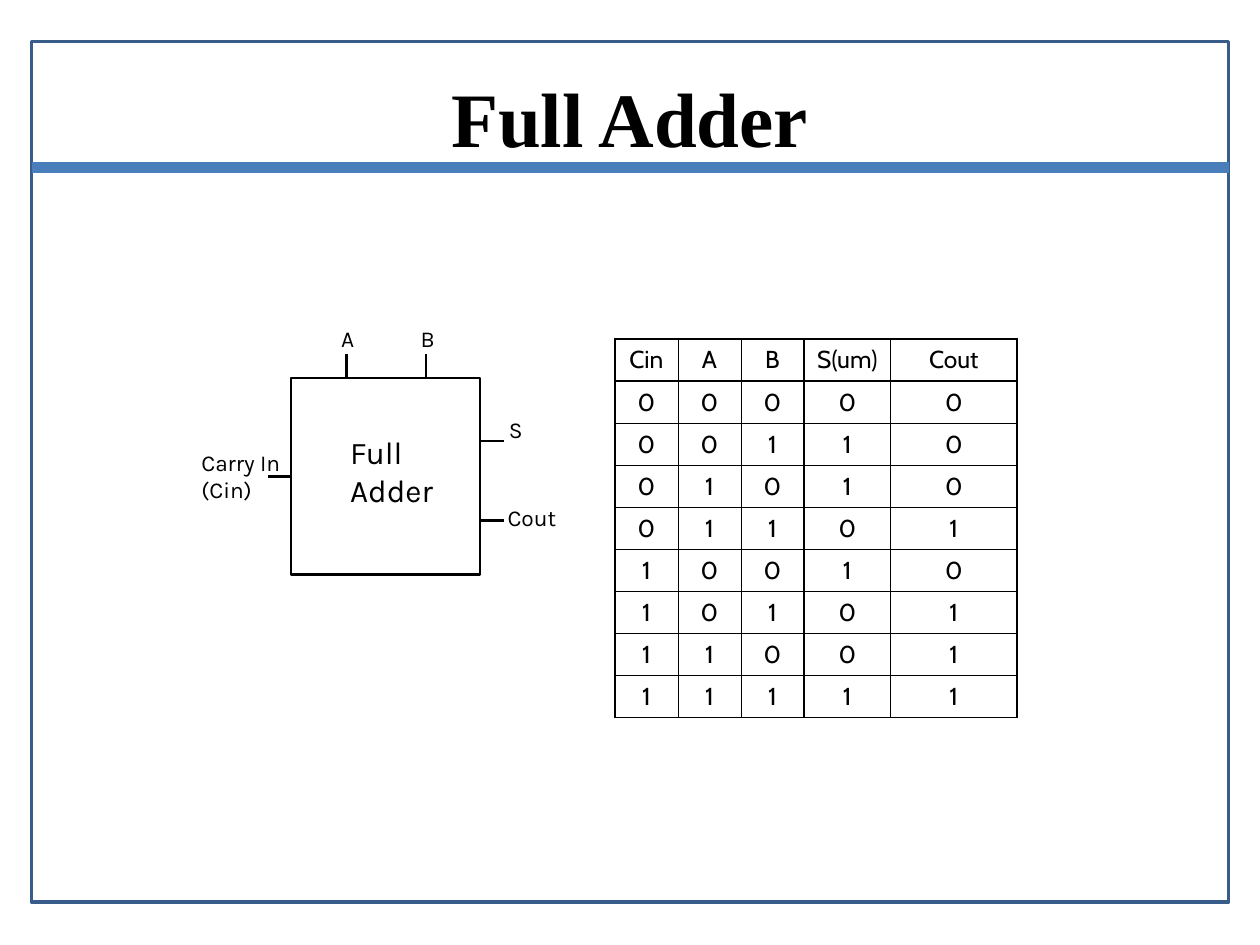
import itertools

import lxml.etree
import pptx
import pptx.dml.color
import pptx.enum.shapes
import pptx.enum.text
import pptx.oxml.ns
import pptx.util

Inches = pptx.util.Inches
Pt = pptx.util.Pt
BLACK = pptx.dml.color.RGBColor(0x00, 0x00, 0x00)
NAVY = pptx.dml.color.RGBColor(0x38, 0x5D, 0x8A)
BLUE = pptx.dml.color.RGBColor(0x4A, 0x7E, 0xBB)
CENTER = pptx.enum.text.PP_ALIGN.CENTER
MIDDLE = pptx.enum.text.MSO_ANCHOR.MIDDLE


class Board:
    """Draws styled elements on one slide."""

    def __init__(self, slide):
        self.slide = slide
        self.shapes = slide.shapes
        self.thin = 0.45
        self.thick = 1.08

    def words(self, para, text, size, font, bold=False):
        run = para.add_run()
        run.text = text
        run.font.size = Pt(size)
        run.font.name = font
        run.font.bold = bold
        run.font.color.rgb = BLACK

    def title(self, text, left, top, width, height):
        box = self.shapes.add_textbox(*map(Inches, (left, top, width, height)))
        frame = box.text_frame
        frame.word_wrap = True
        frame.vertical_anchor = MIDDLE
        para = frame.paragraphs[0]
        para.alignment = CENTER
        self.words(para, text, 44, "Times New Roman", True)

    def label(self, lines, left, top, width, height, size=13):
        box = self.shapes.add_textbox(*map(Inches, (left, top, width, height)))
        frame = box.text_frame
        frame.word_wrap = False
        frame.auto_size = pptx.enum.text.MSO_AUTO_SIZE.SHAPE_TO_FIT_TEXT
        for i, text in enumerate(lines):
            para = frame.add_paragraph() if i else frame.paragraphs[0]
            self.words(para, text, size, "Karla")

    def rect(self, left, top, width, height, color=BLACK, weight=1.5):
        kind = pptx.enum.shapes.MSO_SHAPE.RECTANGLE
        shape = self.shapes.add_shape(kind, *map(Inches, (left, top, width, height)))
        shape.shadow.inherit = False
        shape.fill.background()
        shape.line.color.rgb = color
        shape.line.width = Pt(weight)
        return shape

    def line(self, x1, y1, x2, y2, color=BLACK, weight=1.5):
        kind = pptx.enum.shapes.MSO_CONNECTOR.STRAIGHT
        wire = self.shapes.add_connector(kind, *map(Inches, (x1, y1, x2, y2)))
        wire.line.color.rgb = color
        wire.line.width = Pt(weight)
        props = wire._element.spPr
        lxml.etree.SubElement(props, pptx.oxml.ns.qn("a:effectLst"))
        return wire

    def edge(self, cell, side, weight):
        qn = pptx.oxml.ns.qn
        props = cell._tc.get_or_add_tcPr()
        line = lxml.etree.SubElement(props, qn("a:ln" + side), w=str(int(Pt(weight))))
        fill = lxml.etree.SubElement(line, qn("a:solidFill"))
        lxml.etree.SubElement(fill, qn("a:srgbClr"), val=str(BLACK))

    def table(self, rows, left, top, widths, heights, bold_x, bold_y):
        size = map(Inches, (left, top, sum(widths), sum(heights)))
        grid = self.shapes.add_table(len(rows), len(widths), *size).table
        for col, width in zip(grid.columns, widths):
            col.width = Inches(width)
        for row, height in zip(grid.rows, heights):
            row.height = Inches(height)
        for y, row in enumerate(rows):
            for x, text in enumerate(row):
                cell = grid.cell(y, x)
                cell.margin_left = cell.margin_right = Inches(0.08)
                para = cell.text_frame.paragraphs[0]
                para.alignment = CENTER
                para.space_before = Pt(3.5)
                self.words(para, str(text), 14, "Cabin")
                for side, heavy in (("L", x in bold_x), ("R", x + 1 in bold_x),
                                    ("T", y in bold_y), ("B", y + 1 in bold_y)):
                    self.edge(cell, side, self.thick if heavy else self.thin)
                cell.fill.background()


def main():
    deck = pptx.Presentation()
    deck.slide_width = Inches(10)
    deck.slide_height = Inches(7.5)
    board = Board(deck.slides.add_slide(deck.slide_layouts[6]))

    board.rect(0.25, 0.33, 9.5, 6.83, NAVY, 2)
    board.line(0.25, 1.33, 9.75, 1.33, BLUE, 6.75)
    board.title("Full Adder", 0.5, 0.3, 9, 1.25)

    rows = [("Cin", "A", "B", "S(um)", "Cout")]
    for bits in itertools.product((0, 1), repeat=3):
        carry, total = divmod(sum(bits), 2)
        rows.append((*bits, total, carry))
    board.table(rows, 4.88, 2.69, (0.5, 0.5, 0.5, 0.69, 1),
                [0.33] + [0.31] * 8, (0, 3, 5), (0, 1, 9))

    adder = board.rect(2.31, 3, 1.5, 1.56)
    board.label(("Full", "Adder"), 2.68, 3.39, 0.91, 0.7, 18)
    for name, x in (("A", 2.75), ("B", 3.38)):
        board.label((name,), x - 0.14, 2.53, 0.31, 0.32)
        board.line(x, 2.81, x, 3)
    for y in (3.5, 4.13):
        board.line(3.81, y, 4, y)
    board.label(("S",), 3.94, 3.25, 0.3, 0.32)
    board.label(("Cout",), 3.93, 3.95, 0.6, 0.32)
    board.line(2.13, 3.78, 2.31, 3.78).end_connect(adder, 1)
    board.label(("Carry In", "(Cin)"), 1.5, 3.51, 0.87, 0.54)

    deck.save("out.pptx")


if __name__ == "__main__":
    main()
